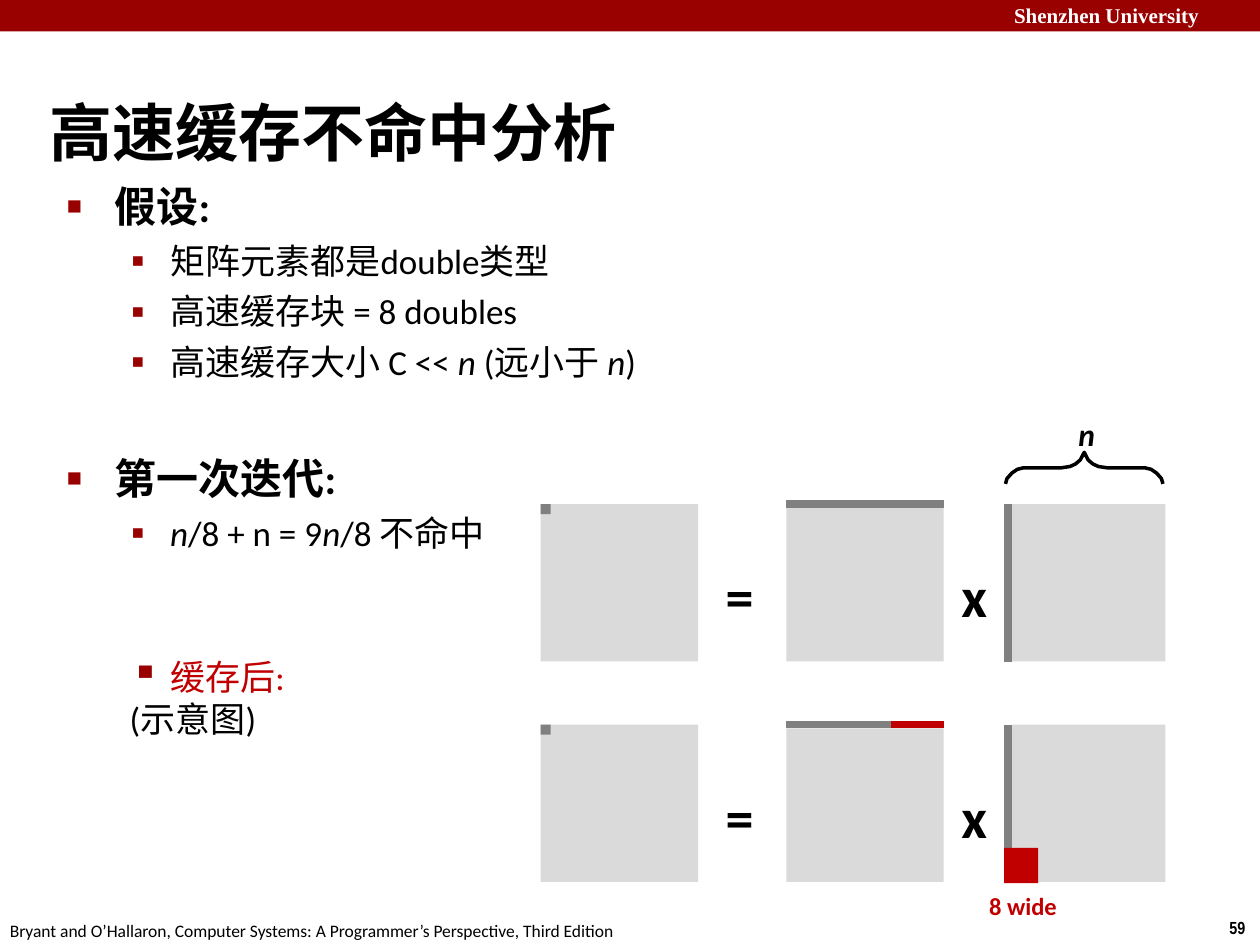
from pptx import Presentation
from pptx.dml.color import RGBColor
from pptx.enum.shapes import MSO_CONNECTOR, MSO_SHAPE
from pptx.enum.text import MSO_ANCHOR, MSO_AUTO_SIZE, PP_ALIGN
from pptx.oxml.ns import qn
from pptx.util import Inches, Pt
from lxml.etree import SubElement

HUE = {"band": "990000", "red": "C00000", "black": "000000", "white": "FFFFFF",
       "pale": "DADADA", "gray": "808080"}
SIDE = 1.25


def tint(name):
    """Return the named colour."""
    return RGBColor.from_string(HUE[name])


def place(shape, box):
    """Move a shape to a box given in inches."""
    shape.left, shape.top, shape.width, shape.height = map(Inches, box)


def block(slide, box, hue):
    """Add a plain filled rectangle."""
    shape = slide.shapes.add_shape(MSO_SHAPE.RECTANGLE, *map(Inches, box))
    shape.shadow.inherit = False
    shape.fill.solid()
    shape.fill.fore_color.rgb = tint(hue)
    shape.line.fill.background()


def bar(slide, x, y, across, down, hue):
    """Add a thick straight line."""
    line = slide.shapes.add_connector(
        MSO_CONNECTOR.STRAIGHT, *map(Inches, (x, y, x + across, y + down)))
    line.line.color.rgb = tint(hue)
    line.line.width = Pt(4.5)
    SubElement(line._element.spPr, qn("a:effectLst"))


def write(para, text, size, hue="black", bold=False, slant=False, face="Calibri"):
    """Add one run of text."""
    run = para.add_run()
    run.text = text
    font = run.font
    font.name, font.size, font.bold, font.italic = face, Pt(size), bold, slant
    font.color.rgb = tint(hue)


def frame(shape, inset=(0, 0, 0, 0), wrap=True):
    """Set the margins and wrapping of a text frame."""
    text = shape.text_frame
    text.auto_size = MSO_AUTO_SIZE.NONE
    text.word_wrap = wrap
    text.margin_left, text.margin_top, text.margin_right, text.margin_bottom = map(Inches, inset)
    return text


def label(slide, box, text, size, inset=(0, 0, 0, 0), wrap=True, **style):
    """Add a text box of one run."""
    shape = slide.shapes.add_textbox(*map(Inches, box))
    write(frame(shape, inset, wrap).paragraphs[0], text, size, **style)


def indent(para, left, hang, mark=None, scale=100):
    """Set the indent, bullet and tab stop of a paragraph."""
    props = para._p.get_or_add_pPr()
    props.set("marL", str(Inches(left)))
    props.set("indent", str(Inches(hang)))
    if not mark:
        SubElement(props, qn("a:buNone"))
        return
    SubElement(SubElement(props, qn("a:buClr")), qn("a:srgbClr"), val=HUE["band"])
    SubElement(props, qn("a:buSzPct"), val=str(scale * 1000))
    SubElement(props, qn("a:buChar"), char=mark)
    tabs = SubElement(props, qn("a:tabLst"))
    SubElement(tabs, qn("a:tab"), pos=str(Inches(left)), algn="l")


def header(slide, box):
    """Draw the top band and its name."""
    x, y, w, h = box
    block(slide, box, "band")
    label(slide, (x + 0.795 * w, y - 0.03, 0.212 * w, 0.3), "Shenzhen University", 12,
          (0.1, 0.05, 0.1, 0.05), hue="white", bold=True, face="Times New Roman")


def footer(slide, box):
    """Write the credit and the page number."""
    x, y, w, h = box
    pad = (0.1, 0.05, 0.1, 0.05)
    label(slide, (x + 0.966 * w, y, 0.34, h), "59", 10, pad, False,
          bold=True, face="Arial Narrow")
    label(slide, (x - 0.02, y + 0.02, 0.509 * w, h),
          "Bryant and O’Hallaron, Computer Systems: A Programmer’s Perspective, Third Edition",
          10, pad, False)


def heading(slide, box):
    """Fill the title."""
    title = slide.shapes.title
    place(title, box)
    text = frame(title, (0, 0.31, 0, 0))
    text.vertical_anchor = MSO_ANCHOR.MIDDLE
    para = text.paragraphs[0]
    para.alignment = PP_ALIGN.LEFT
    write(para, "高速缓存不命中分析", 36, bold=True)


def points(slide, box):
    """Fill the body list; each line is a kind, a gap and runs, odd runs italic."""
    body = slide.placeholders[1]
    place(body, box)
    text = frame(body)
    lines = [("head", 0, ["假设:"]),
             ("item", 5, ["矩阵元素都是double类型"]),
             ("item", 4.8, ["高速缓存块 = 8 doubles"]),
             ("item", 4.8, ["高速缓存大小 C << ", "n ", "(远小于 ", "n", ")"]),
             ("side", 18.6, ["", "n"]),
             ("head", 0, ["第一次迭代:"]),
             ("item", 5, ["", "n", "/8 + n = 9", "n", "/8 不命中"])]
    sizes = {"head": 24, "item": 20, "side": 18}
    for spot, (kind, gap, runs) in enumerate(lines):
        para = text.add_paragraph() if spot else text.paragraphs[0]
        para.space_before = Pt(gap)
        if kind == "side":
            para.alignment = PP_ALIGN.RIGHT
            para.line_spacing = Pt(21.6)
            indent(para, 0, 0)
        elif kind == "head":
            if spot:
                para.line_spacing = Pt(28.8)
            indent(para, 0.39, -0.38, "■", 60)
        else:
            para.level = 1
            indent(para, 0.83, -0.31, "▪", 110)
        for turn, part in enumerate(runs):
            if part:
                write(para, part, sizes[kind], bold=kind != "item", slant=turn % 2 == 1)


def after(slide, box):
    """Write the note on the cache state."""
    text = frame(slide.shapes.add_textbox(*map(Inches, box)))
    first, second = text.paragraphs[0], text.add_paragraph()
    indent(first, 0.33, -0.31, "▪", 110)
    write(first, "缓存后:", 20, "red")
    indent(second, 0.01, 0)
    write(second, "(示意图)", 20)


def brace(slide, box):
    """Draw a brace that opens downward, mirrored about its middle."""
    x, y, w, h = box
    half = [(1, 1), (0.98, 0.83), (0.92, 0.66), (0.85, 0.54), (0.77, 0.49), (0.29, 0.49),
            (0.18, 0.45), (0.11, 0.37), (0.05, 0.24), (0, 0)]
    spots = half + [(-a, b) for a, b in half[-2::-1]]
    path = [(Inches(x + w * (1 + a) / 2), Inches(y + h * b)) for a, b in spots]
    build = slide.shapes.build_freeform(*path[0])
    build.add_line_segments(path[1:], close=False)
    shape = build.convert_to_shape()
    shape.shadow.inherit = False
    shape.fill.background()
    shape.line.color.rgb = tint("black")
    shape.line.width = Pt(2)


def product(slide, box, cached=False):
    """Draw one matrix product, with the cached parts in red if asked."""
    x, y, w, h = box
    left, right = x + 1.95, x + w - SIDE
    block(slide, (x, y, SIDE, h), "pale")
    block(slide, (x, y, 0.08, 0.08), "gray")
    block(slide, (left, y + 0.03, SIDE, h - 0.03), "pale")
    block(slide, (right + 0.03, y, SIDE - 0.03, h), "pale")
    bar(slide, left, y, SIDE, 0, "gray")
    bar(slide, right, y, 0, h, "gray")
    for sign, start, wide in (("=", 1.47, 0.25), ("x", 3.34, 0.23)):
        label(slide, (x + start, y + 0.46, wide, 0.47), sign, 32, bold=True)
    if cached:
        bar(slide, left + SIDE * 2 / 3, y, SIDE / 3, 0, "red")
        block(slide, (right - 0.03, y + h - 0.27, 0.27, 0.28), "red")
        label(slide, (right - 0.15, y + h + 0.07, 0.57, 0.22), "8 wide", 14, wrap=False,
              hue="red", bold=True)


def main():
    """Build the slide and save it."""
    deck = Presentation()
    deck.slide_width, deck.slide_height = Inches(10), Inches(7.5)
    slide = deck.slides.add_slide(deck.slide_layouts[1])
    header(slide, (0, 0, 10, 0.25))
    footer(slide, (0, 7.23, 10, 0.27))
    heading(slide, (0.39, 0.43, 8.3, 0.92))
    points(slide, (0.52, 1.43, 8.17, 3.01))
    after(slide, (1.02, 5.2, 2.67, 0.67))
    brace(slide, (7.98, 3.59, SIDE, 0.25))
    for row in range(2):
        product(slide, (4.29, 4 + 1.75 * row, 4.96, SIDE), row == 1)
    deck.save("out.pptx")


if __name__ == "__main__":
    main()
